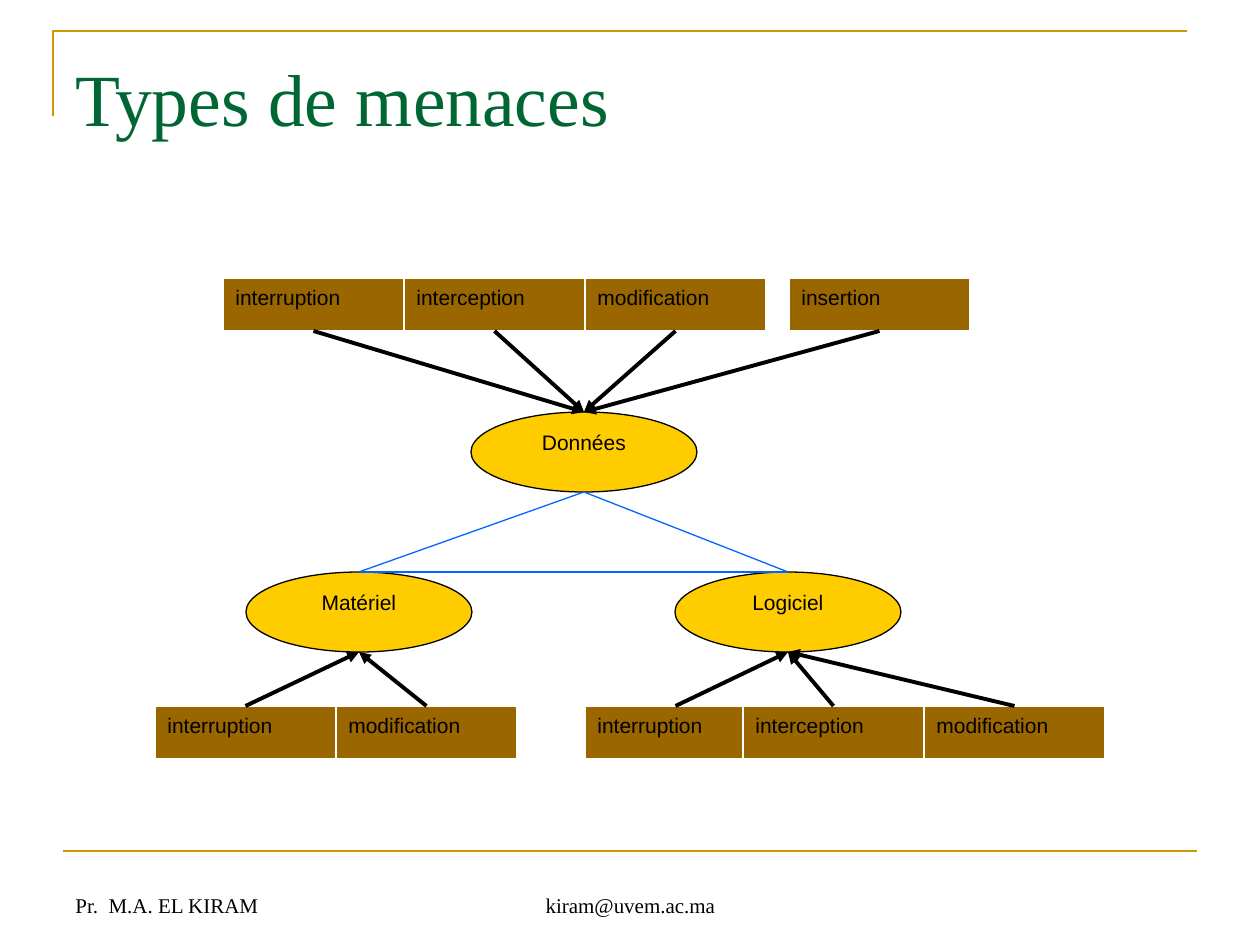
from lxml.etree import SubElement
from pptx import Presentation
from pptx.dml.color import RGBColor
from pptx.enum.shapes import MSO_CONNECTOR, MSO_SHAPE
from pptx.enum.text import MSO_ANCHOR, PP_ALIGN
from pptx.oxml.ns import qn
from pptx.util import Pt

SCALE = 914400 / 126
SERIF, SANS = "Times New Roman", "Arial"
GOLD, GREEN, BLACK, WHITE = "CC9900", "006633", "000000", "FFFFFF"
YELLOW, BROWN, BLUE = "FFCC00", "996600", "0066FF"

TITLE = ("Types de menaces", (63, 38, 1134, 157))
FOOTERS = [
    ("Pr.  M.A. EL KIRAM", (63, 861, 294, 63), PP_ALIGN.LEFT),
    ("kiram@uvem.ac.ma", (431, 861, 399, 63), PP_ALIGN.CENTER),
]
CORNER = [(53, 116), (53, 31), (1187, 31)]
FOOTER_RULE = [(63, 851), (1197, 851)]

ASSET_SIZE = (226, 80)
THREAT_SIZE = (181, 53)
ASSETS = {
    "Données": (471, 412),
    "Matériel": (246, 572),
    "Logiciel": (675, 572),
}
THREATS = {
    "Données": (278, [("interruption", 223), ("interception", 404),
                      ("modification", 585), ("insertion", 789)]),
    "Matériel": (706, [("interruption", 155), ("modification", 336)]),
    "Logiciel": (706, [("interruption", 585), ("interception", 743),
                       ("modification", 924)]),
}


def px(length):
    return round(length * SCALE)


def color(value):
    return RGBColor.from_string(value)


def write(shape, text, font, size, ink, align, anchor=MSO_ANCHOR.TOP):
    frame = shape.text_frame
    frame.text = text
    frame.word_wrap = True
    frame.vertical_anchor = anchor
    paragraph = frame.paragraphs[0]
    paragraph.alignment = align
    letters = paragraph.runs[0].font
    letters.name, letters.size = font, Pt(size)
    letters.color.rgb = color(ink)


def add_label(slide, text, box, font, size, ink, align, anchor):
    label = slide.shapes.add_textbox(*map(px, box))
    write(label, text, font, size, ink, align, anchor)
    return label


def add_node(slide, kind, text, corner, size, fill, outline, align):
    node = slide.shapes.add_shape(kind, *map(px, corner + size))
    node.shadow.inherit = False
    node.fill.solid()
    node.fill.fore_color.rgb = color(fill)
    node.line.color.rgb = color(outline)
    node.line.width = Pt(0.75)
    write(node, text, SANS, 12, BLACK, align)


def add_link(slide, start, end, ink, width, arrow=False):
    link = slide.shapes.add_connector(
        MSO_CONNECTOR.STRAIGHT, *map(px, start + end))
    link.line.color.rgb = color(ink)
    link.line.width = Pt(width)
    if arrow:
        SubElement(link.line._get_or_add_ln(), qn("a:tailEnd"), type="triangle")
    SubElement(link._element.spPr, qn("a:effectLst"))


def add_corner(slide):
    builder = slide.shapes.build_freeform(*CORNER[0], scale=SCALE)
    builder.add_line_segments(CORNER[1:], close=False)
    corner = builder.convert_to_shape()
    corner.shadow.inherit = False
    corner.fill.background()
    corner.line.color.rgb = color(GOLD)
    corner.line.width = Pt(1.5)


def top_of(corner, size):
    return corner[0] + size[0] / 2, corner[1]


def bottom_of(corner, size):
    return corner[0] + size[0] / 2, corner[1] + size[1]


def main():
    deck = Presentation()
    deck.slide_width, deck.slide_height = px(1260), px(945)
    slide = deck.slides.add_slide(deck.slide_layouts[6])

    add_corner(slide)
    add_link(slide, *FOOTER_RULE, GOLD, 1.5)
    for text, box, align in FOOTERS:
        add_label(slide, text, box, SERIF, 12, BLACK, align, MSO_ANCHOR.BOTTOM)
    title = add_label(slide, *TITLE, SERIF, 42, GREEN, PP_ALIGN.LEFT, MSO_ANCHOR.TOP)
    title.text_frame.margin_top = px(15)

    for asset, corner in ASSETS.items():
        add_node(slide, MSO_SHAPE.OVAL, asset, corner, ASSET_SIZE,
                 YELLOW, BLACK, PP_ALIGN.CENTER)

    data = bottom_of(ASSETS["Données"], ASSET_SIZE)
    hardware = top_of(ASSETS["Matériel"], ASSET_SIZE)
    software = top_of(ASSETS["Logiciel"], ASSET_SIZE)
    for start, end in [(hardware, data), (data, software), (hardware, software)]:
        add_link(slide, start, end, BLUE, 0.75)

    arrows = []
    for asset, (top, threats) in THREATS.items():
        above = top < ASSETS[asset][1]
        leave, reach = (bottom_of, top_of) if above else (top_of, bottom_of)
        target = reach(ASSETS[asset], ASSET_SIZE)
        for threat, left in threats:
            add_node(slide, MSO_SHAPE.RECTANGLE, threat, (left, top), THREAT_SIZE,
                     BROWN, WHITE, PP_ALIGN.LEFT)
            arrows.append((leave((left, top), THREAT_SIZE), target))
    for start, end in arrows:
        add_link(slide, start, end, BLACK, 2.25, arrow=True)

    deck.save("out.pptx")


if __name__ == "__main__":
    main()
